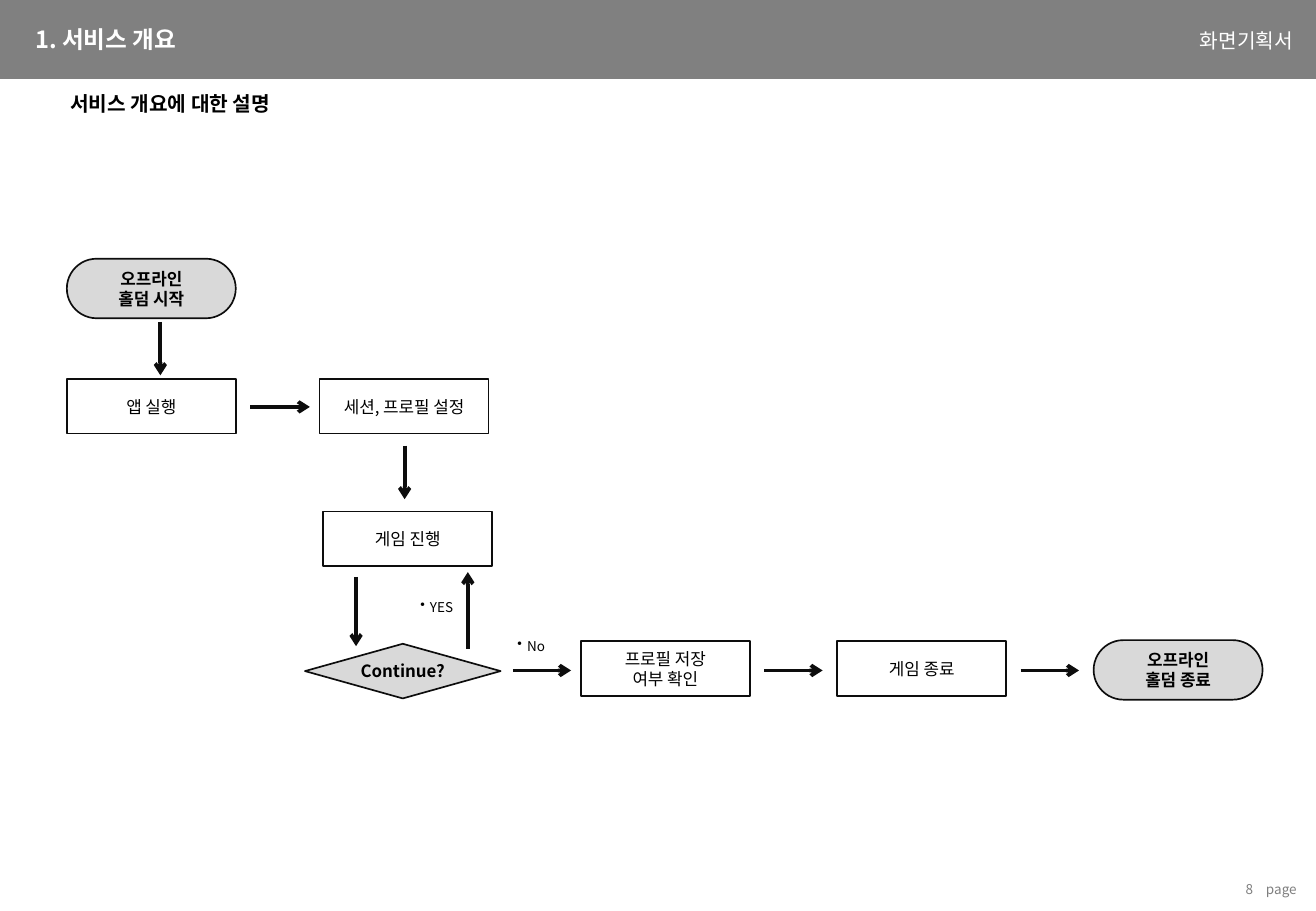
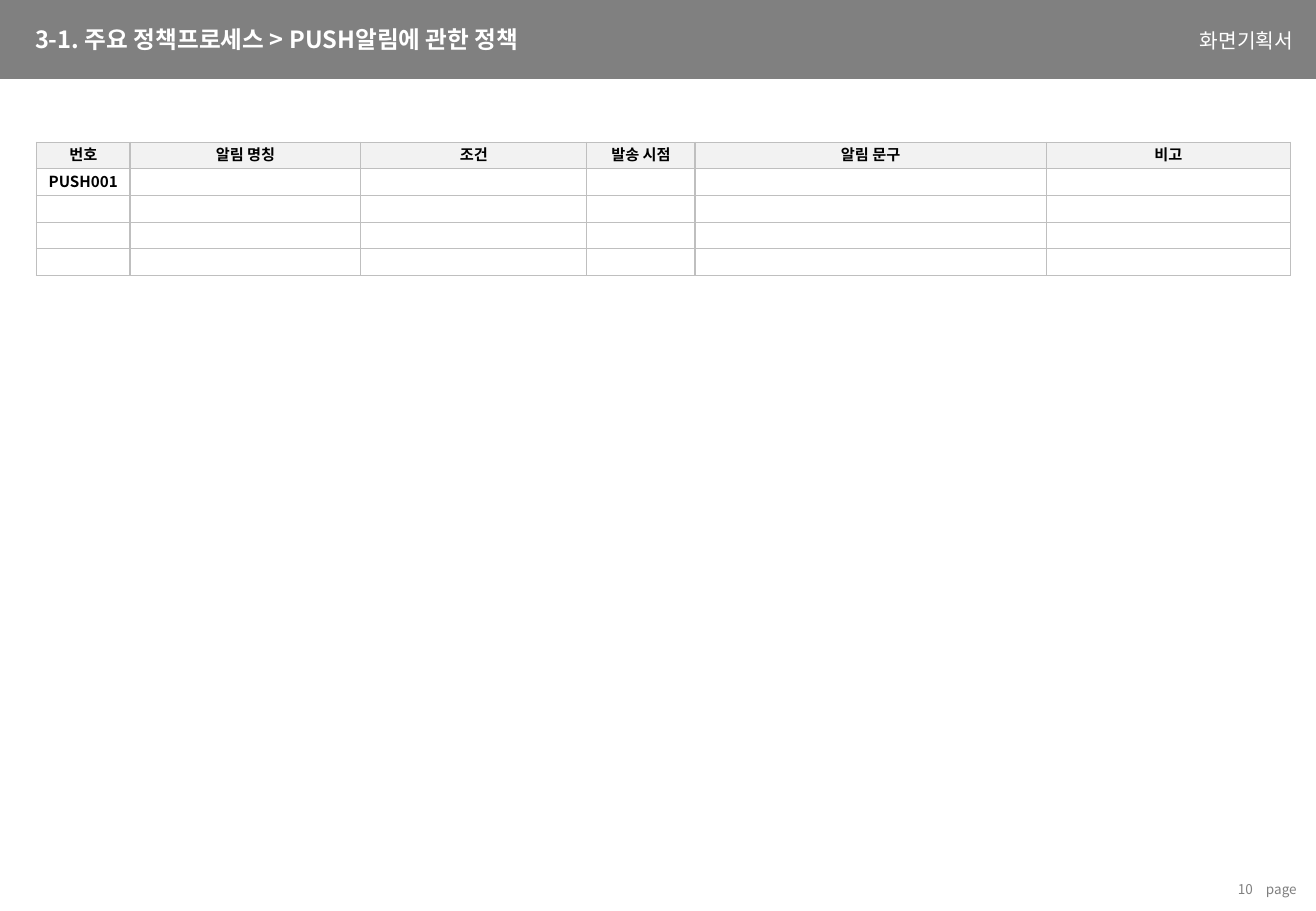
"""Build a service flow chart slide and a push notification policy slide."""
from copy import deepcopy
from dataclasses import dataclass

from lxml.etree import SubElement
from pptx import Presentation
from pptx.dml.color import RGBColor
from pptx.enum.shapes import MSO_CONNECTOR, MSO_SHAPE
from pptx.enum.text import MSO_ANCHOR, MSO_AUTO_SIZE, PP_ALIGN
from pptx.oxml.ns import qn
from pptx.presentation import Presentation as Deck
from pptx.slide import Slide
from pptx.table import _Cell
from pptx.text.text import TextFrame
from pptx.util import Inches, Pt


@dataclass(frozen=True)
class Theme:
    font: str = "Noto Sans CJK KR"
    band: str = "808080"
    white: str = "FFFFFF"
    text: str = "000000"
    footer: str = "7F7F7F"
    outline: str = "0D0D0D"
    accent: str = "D9D9D9"
    header: str = "F2F2F2"
    border: str = "BFBFBF"
    title_size: float = 14
    heading_size: float = 12
    step_size: float = 10
    cell_size: float = 9
    small_size: float = 8
    outline_width: float = 1
    arrow_width: float = 2.25
    border_width: float = 0.75


@dataclass(frozen=True)
class StepKind:
    shape: MSO_SHAPE
    width: float
    height: float
    fill: str
    bold: bool


@dataclass(frozen=True)
class Step:
    text: str
    left: float
    top: float
    kind: StepKind


@dataclass(frozen=True)
class Arrow:
    start: tuple[float, float]
    end: tuple[float, float]


THEME = Theme()
SLIDE_WIDTH, SLIDE_HEIGHT = 10.83, 7.5

TERMINAL = StepKind(MSO_SHAPE.ROUNDED_RECTANGLE, 1.39, 0.49, THEME.accent, True)
PROCESS = StepKind(MSO_SHAPE.RECTANGLE, 1.39, 0.45, THEME.white, False)
DECISION = StepKind(MSO_SHAPE.FLOWCHART_DECISION, 1.61, 0.45, THEME.accent, True)

STEPS = [
    Step("오프라인\n홀덤 시작", 0.55, 2.13, TERMINAL),
    Step("앱 실행", 0.55, 3.12, PROCESS),
    Step("세션, 프로필 설정", 2.63, 3.12, PROCESS),
    Step("게임 진행", 2.66, 4.21, PROCESS),
    Step("Continue?", 2.51, 5.3, DECISION),
    Step("프로필 저장\n여부 확인", 4.78, 5.28, PROCESS),
    Step("게임 종료", 6.89, 5.28, PROCESS),
    Step("오프라인\n홀덤 종료", 9, 5.27, TERMINAL),
]

ARROWS = [
    Arrow((1.32, 2.65), (1.32, 3.09)),
    Arrow((2.06, 3.35), (2.55, 3.35)),
    Arrow((3.33, 3.67), (3.33, 4.11)),
    Arrow((2.93, 4.75), (2.93, 5.32)),
    Arrow((3.85, 5.34), (3.85, 4.71)),
    *(Arrow((left, 5.52), (left + 0.48, 5.52)) for left in (4.22, 6.29, 8.4)),
]

COLUMN_WIDTHS = [0.77, 1.9, 1.86, 0.89, 2.89, 2.01]
ROW_HEIGHT = 0.22
TABLE_ROWS = [
    ["번호", "알림 명칭", "조건", "발송 시점", "알림 문구", "비고"],
    ["PUSH001", "", "", "", "", ""],
    *([""] * 6 for _ in range(3)),
]


def rgb(value: str) -> RGBColor:
    """Turn a hexadecimal colour into a colour object."""
    return RGBColor.from_string(value)


def write(frame: TextFrame, text: str, *, size: float, color: str = THEME.text,
          bold: bool = False, align: PP_ALIGN = PP_ALIGN.LEFT,
          line_spacing: float | None = None, bullet: bool = False) -> None:
    """Put one formatted paragraph into a text frame."""
    para = frame.paragraphs[0]
    para.text = text
    para.alignment = align
    if line_spacing:
        para.line_spacing = line_spacing
    if bullet:
        properties = para._p.get_or_add_pPr()
        properties.set("marL", str(Inches(0.19)))
        properties.set("indent", str(Inches(-0.08)))
        SubElement(properties, qn("a:buChar"), char="•")
    for span in para.runs:
        span.font.name = THEME.font
        span.font.size = Pt(size)
        span.font.bold = bold
        span.font.color.rgb = rgb(color)
        SubElement(span._r.get_or_add_rPr(), qn("a:ea"), typeface=THEME.font)
    for line_break in para._p.findall(qn("a:br")):
        line_break.append(deepcopy(para.runs[0]._r.rPr))
    if not text:
        ending = SubElement(para._p, qn("a:endParaRPr"), sz=str(int(size * 100)))
        for script in ("a:latin", "a:ea"):
            SubElement(ending, qn(script), typeface=THEME.font)


def add_text(page: Slide, text: str, left: float, top: float, width: float,
             height: float, *, anchor: MSO_ANCHOR = MSO_ANCHOR.TOP,
             wrap: bool = True, grow: bool = True, **text_format) -> None:
    """Add a text box."""
    box = page.shapes.add_textbox(Inches(left), Inches(top), Inches(width), Inches(height))
    frame = box.text_frame
    frame.word_wrap = wrap
    frame.auto_size = MSO_AUTO_SIZE.SHAPE_TO_FIT_TEXT if grow else MSO_AUTO_SIZE.NONE
    frame.vertical_anchor = anchor
    write(frame, text, **text_format)


def add_page(deck: Deck, title: str, number: int, title_width: float) -> Slide:
    """Add a slide with the shared band, title and footer."""
    page = deck.slides.add_slide(deck.slide_layouts[6])
    for text, left in ((str(number), 9.92), ("page", 10.28)):
        add_text(page, text, left, 7.21, 0.49, 0.23, anchor=MSO_ANCHOR.BOTTOM, grow=False,
                 size=THEME.small_size, color=THEME.footer, align=PP_ALIGN.RIGHT)
    band = page.shapes.add_shape(MSO_SHAPE.RECTANGLE, 0, 0, Inches(SLIDE_WIDTH), Inches(0.65))
    band.shadow.inherit = False
    band.fill.solid()
    band.fill.fore_color.rgb = rgb(THEME.band)
    band.line.fill.background()
    add_text(page, "화면기획서", 9.7, 0.16, 1.04, 0.31, anchor=MSO_ANCHOR.MIDDLE, wrap=False,
             size=THEME.heading_size, color=THEME.white, align=PP_ALIGN.RIGHT,
             line_spacing=1.2)
    add_text(page, title, 0.19, 0.16, title_width, 0.34, size=THEME.title_size,
             color=THEME.white, bold=True)
    return page


def add_step(page: Slide, step: Step) -> None:
    """Draw one step of the flow."""
    kind = step.kind
    box = page.shapes.add_shape(kind.shape, Inches(step.left), Inches(step.top),
                                Inches(kind.width), Inches(kind.height))
    if kind is TERMINAL:
        box.adjustments[0] = 0.5
    box.shadow.inherit = False
    box.fill.solid()
    box.fill.fore_color.rgb = rgb(kind.fill)
    box.line.color.rgb = rgb(THEME.outline)
    box.line.width = Pt(THEME.outline_width)
    frame = box.text_frame
    frame.word_wrap = kind is not DECISION
    frame.vertical_anchor = MSO_ANCHOR.MIDDLE
    write(frame, step.text, size=THEME.step_size, bold=kind.bold, align=PP_ALIGN.CENTER)


def add_arrow(page: Slide, arrow: Arrow) -> None:
    """Draw one arrow of the flow."""
    points = [Inches(value) for value in (*arrow.start, *arrow.end)]
    connector = page.shapes.add_connector(MSO_CONNECTOR.STRAIGHT, *points)
    connector.line.color.rgb = rgb(THEME.outline)
    connector.line.width = Pt(THEME.arrow_width)
    SubElement(connector.line._get_or_add_ln(), qn("a:tailEnd"), type="arrow")
    SubElement(connector._element.spPr, qn("a:effectLst"))


def style_cell(cell: _Cell, text: str, fill: str) -> None:
    """Fill, frame and write one table cell."""
    cell.margin_left = cell.margin_right = cell.margin_top = Inches(0.01)
    cell.margin_bottom = Inches(0.04)
    cell.vertical_anchor = MSO_ANCHOR.MIDDLE
    properties = cell._tc.get_or_add_tcPr()
    for side in ("a:lnL", "a:lnR", "a:lnT", "a:lnB"):
        line = SubElement(properties, qn(side), w=str(Pt(THEME.border_width)))
        paint = SubElement(line, qn("a:solidFill"))
        SubElement(paint, qn("a:srgbClr"), val=THEME.border)
    cell.fill.solid()
    cell.fill.fore_color.rgb = rgb(fill)
    write(cell.text_frame, text, size=THEME.cell_size, bold=True, align=PP_ALIGN.CENTER)


def add_flow_page(deck: Deck) -> None:
    """Add the service overview slide."""
    page = add_page(deck, "1. 서비스 개요", 8, 3.19)
    add_text(page, "서비스 개요에 대한 설명", 0.48, 0.7, 10.07, 0.3,
             size=THEME.heading_size, bold=True)
    for step in STEPS:
        add_step(page, step)
    for arrow in ARROWS:
        add_arrow(page, arrow)
    for text, left, top in (("No", 4.05, 5.2), ("YES", 3.25, 4.88)):
        add_text(page, text, left, top, 1.35, 0.24, size=THEME.small_size, bullet=True)


def add_policy_page(deck: Deck) -> None:
    """Add the push notification policy slide."""
    page = add_page(deck, "3-1. 주요 정책프로세스 > PUSH알림에 관한 정책", 10, 4.73)
    table = page.shapes.add_table(
        len(TABLE_ROWS), len(COLUMN_WIDTHS), Inches(0.3), Inches(1.17),
        Inches(sum(COLUMN_WIDTHS)), Inches(ROW_HEIGHT * len(TABLE_ROWS))).table
    table.horz_banding = False
    for column, width in zip(table.columns, COLUMN_WIDTHS):
        column.width = Inches(width)
    for index, (row, texts) in enumerate(zip(table.rows, TABLE_ROWS)):
        row.height = Inches(ROW_HEIGHT)
        for cell, text in zip(row.cells, texts):
            style_cell(cell, text, THEME.white if index else THEME.header)


def main() -> None:
    """Build and save the deck."""
    deck = Presentation()
    deck.slide_width = Inches(SLIDE_WIDTH)
    deck.slide_height = Inches(SLIDE_HEIGHT)
    add_flow_page(deck)
    add_policy_page(deck)
    deck.save("out.pptx")


if __name__ == "__main__":
    main()
